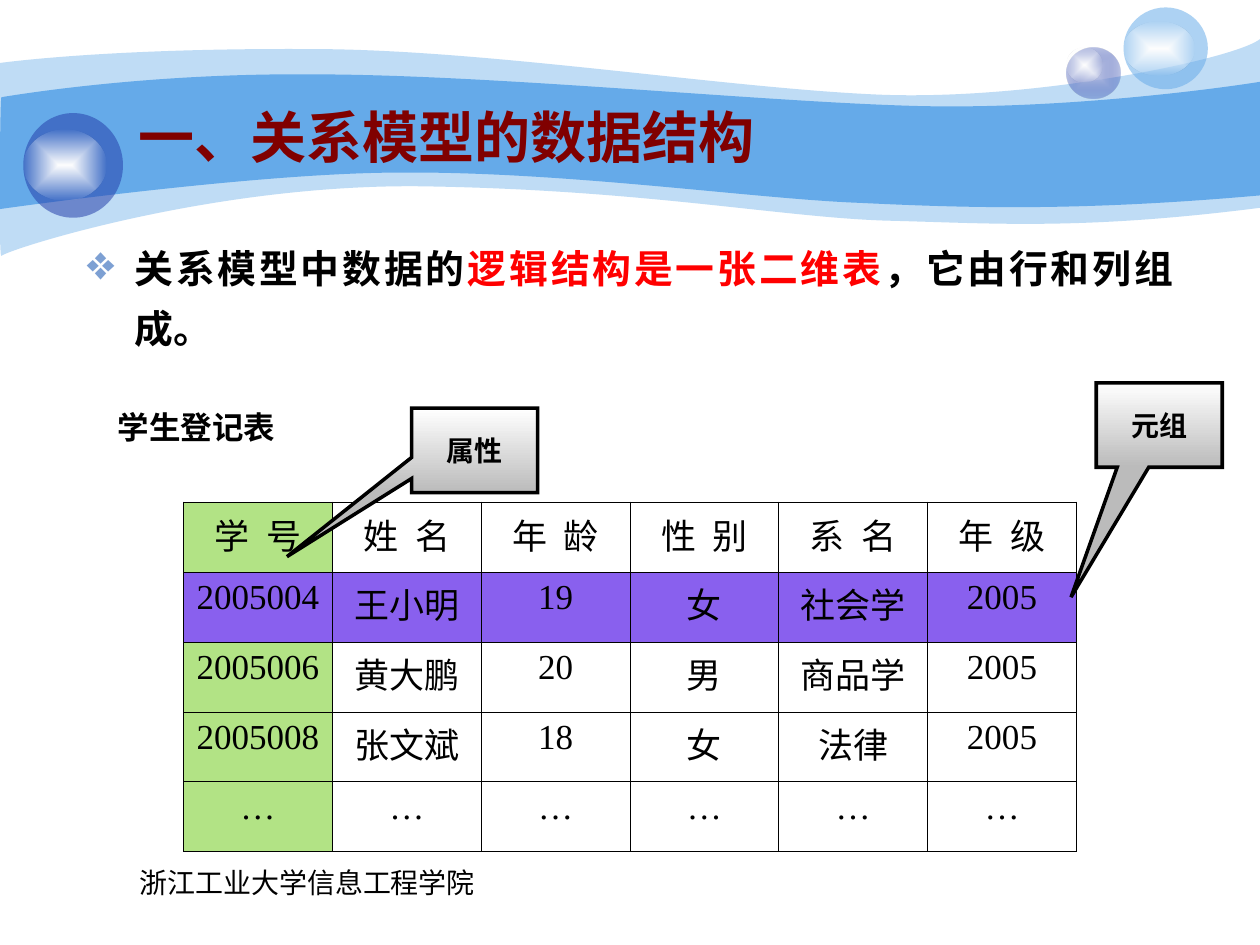
from lxml import etree
from pptx import Presentation
from pptx.dml.color import RGBColor
from pptx.enum.shapes import MSO_SHAPE
from pptx.enum.text import MSO_ANCHOR, PP_ALIGN
from pptx.oxml import parse_xml
from pptx.oxml.ns import nsdecls, qn
from pptx.util import Cm, Pt

COLORS = {
    "black": "000000", "title": "800000", "red": "FF0000", "bullet": "7DA0D3",
    "sky": "65AAE9", "navy": "233DA9", "pale": "C7CEE9", "white": "FFFFFF",
    "gray": "BBBBBB", "attribute": "B2E385", "tuple": "8960EE",
}
SERIF, SANS = "Times New Roman", "Arial"

# Each wave: a start point, then lines (2 numbers) and Bezier curves (6 numbers), in cm
OUTER_WAVE = [
    (0, 1.27), (0.61, 1.19, 2.72, 0.97, 6.27, 0.99),
    (9.8, 0.99, 14.61, 1.78, 17.75, 1.91), (20.88, 2.03, 24.89, 1.19, 25.4, 0.79),
    (25.4, 4.19), (21.79, 4.65, 19.99, 4.5, 17.91, 4.45),
    (15.8, 4.39, 13.08, 3.84, 8.71, 3.76), (4.37, 3.66, 0.1, 5.05, 0.03, 5.16),
    (-0.03, 5.28, 0, 1.91, 0, 1.27),
]
INNER_WAVE = [
    (0.03, 1.96), (0.05, 1.96, 2.79, 1.47, 6.3, 1.5),
    (9.8, 1.5, 15.11, 2.03, 18.24, 2.13), (21.36, 2.24, 24.79, 1.75, 25.4, 1.65),
    (25.4, 3.94), (21.67, 4.27, 19.43, 4.19, 17.32, 4.09),
    (15.21, 4.01, 11.35, 3.45, 8.05, 3.48), (5.16, 3.48, -0.05, 4.22, -0.03, 4.22),
    (0, 4.22, 0, 1.96, 0.03, 1.96),
]
STUDENTS = [
    ["学 号", "姓 名", "年 龄", "性 别", "系 名", "年 级"],
    ["2005004", "王小明", "19", "女", "社会学", "2005"],
    ["2005006", "黄大鹏", "20", "男", "商品学", "2005"],
    ["2005008", "张文斌", "18", "女", "法律", "2005"],
    ["…"] * 6,
]


def rgb(color):
    return RGBColor.from_string(COLORS[color])


def color_xml(color, alpha=100):
    return f'<a:srgbClr val="{COLORS[color]}"><a:alpha val="{alpha * 1000}"/></a:srgbClr>'


def solid(color, alpha=100):
    return f'<a:solidFill {nsdecls("a")}>{color_xml(color, alpha)}</a:solidFill>'


def gradient(start, end, alpha=100, from_center=True):
    if from_center:
        way = ('<a:path path="rect"><a:fillToRect l="50000" t="50000" '
               'r="50000" b="50000"/></a:path>')
    else:
        way = '<a:lin ang="5400000" scaled="1"/>'
    return (f'<a:gradFill {nsdecls("a")} rotWithShape="1"><a:gsLst>'
            f'<a:gs pos="0">{color_xml(start)}</a:gs>'
            f'<a:gs pos="100000">{color_xml(end, alpha)}</a:gs></a:gsLst>{way}</a:gradFill>')


class SlideBuilder:
    def __init__(self, s):
        self.s = s

    def style(self, sp, fill_xml):
        sp.shadow.inherit = False
        sp.line.fill.background()
        sp.fill.background()
        spPr = sp._element.spPr
        spPr.replace(spPr.find(qn("a:noFill")), parse_xml(fill_xml))

    def run(self, p, text, size, color="black", bold=False, font=SERIF, spacing=0):
        r = p.add_run()
        r.text = text
        r.font.size, r.font.bold, r.font.name = Pt(size), bold, font
        r.font.color.rgb = rgb(color)
        rPr = r._r.get_or_add_rPr()
        rPr.set("lang", "zh-CN")
        if spacing:
            rPr.set("spc", str(int(spacing * 100)))

    def wave(self, segments, fill_xml):
        corners = [(Cm(seg[-2]), Cm(seg[-1])) for seg in segments]
        builder = self.s.shapes.build_freeform(*corners[0])
        builder.add_line_segments(corners[1:], close=True)
        sp = builder.convert_to_shape()
        self.style(sp, fill_xml)
        # Bend the straight sides into Bezier curves
        sides = list(sp._element.iter(qn("a:lnTo")))
        for side, seg in zip(sides, segments[1:]):
            if len(seg) == 6:
                curve = etree.Element(qn("a:cubicBezTo"))
                for x, y in zip(seg[::2], seg[1::2]):
                    etree.SubElement(curve, qn("a:pt"), x=str(Cm(x) - sp.left),
                                     y=str(Cm(y) - sp.top))
                side.getparent().replace(side, curve)

    def bubble(self, ball, glow, fill_xml):
        grp = self.s.shapes.add_group_shape()
        for box, fill in ((ball, fill_xml), (glow, gradient("white", "white", 0))):
            self.style(grp.shapes.add_shape(MSO_SHAPE.OVAL, *map(Cm, box)), fill)

    def title(self, box, text):
        sp = self.s.shapes.title
        sp.left, sp.top, sp.width, sp.height = map(Cm, box)
        sp.element.getparent().append(sp.element)  # in front of the waves
        tf = sp.text_frame
        tf.vertical_anchor = MSO_ANCHOR.MIDDLE
        p = tf.paragraphs[0]
        p.alignment = PP_ALIGN.LEFT
        self.run(p, text, 32, "title", True, SANS)
        self.run(p, " ", 36, "title", True, SANS)

    def text(self, box, runs, size, bold=False, font=SERIF, wrap=True, align=PP_ALIGN.CENTER):
        tf = self.s.shapes.add_textbox(*map(Cm, box)).text_frame
        tf.word_wrap = wrap
        p = tf.paragraphs[0]
        p.alignment = align
        for text, color in runs:
            self.run(p, text, size, color, bold, font)
        return p

    def bullet(self, box, runs):
        p = self.text(box, runs, 22.2, True, SANS, align=PP_ALIGN.JUSTIFY)
        p.line_spacing = 1.3
        pPr = p._p.get_or_add_pPr()
        pPr.set("marL", str(Cm(0.96)))
        pPr.set("indent", str(-Cm(0.96)))
        pPr.set("hangingPunct", "0")
        bu_clr = etree.SubElement(pPr, qn("a:buClr"))
        etree.SubElement(bu_clr, qn("a:srgbClr"), val=COLORS["bullet"])
        etree.SubElement(pPr, qn("a:buSzPct"), val="125000")
        etree.SubElement(pPr, qn("a:buChar"), char="❖")

    def callout(self, x, y, text, tip):
        sp = self.s.shapes.add_shape(MSO_SHAPE.RECTANGULAR_CALLOUT,
                                     Cm(x), Cm(y), Cm(2.54), Cm(1.7))
        self.style(sp, gradient("white", "gray", from_center=False))
        sp.adjustments[0], sp.adjustments[1] = tip
        sp.line.color.rgb, sp.line.width = rgb("black"), Pt(2)
        etree.SubElement(sp._element.spPr.find(qn("a:ln")), qn("a:miter"), lim="800000")
        tf = sp.text_frame
        tf.vertical_anchor = MSO_ANCHOR.MIDDLE
        p = tf.paragraphs[0]
        p.alignment = PP_ALIGN.CENTER
        self.run(p, text, 16, bold=True)

    def table(self, x, y, col_width, row_height, rows):
        n_rows, n_cols = len(rows), len(rows[0])
        table = self.s.shapes.add_table(n_rows, n_cols, Cm(x), Cm(y), Cm(col_width * n_cols),
                                        Cm(row_height * n_rows)).table
        table.first_row = table.horz_banding = False
        for i, row in enumerate(rows):
            for j, text in enumerate(row):
                cell = table.cell(i, j)
                tcPr = cell._tc.get_or_add_tcPr()
                for side in ("lnL", "lnR", "lnT", "lnB"):
                    ln = etree.SubElement(tcPr, qn(f"a:{side}"), w=str(Pt(0.45)))
                    ln.append(parse_xml(solid("black")))
                if i == 1 or j == 0:
                    cell.fill.solid()
                    cell.fill.fore_color.rgb = rgb("tuple" if i == 1 else "attribute")
                else:
                    cell.fill.background()
                p = cell.text_frame.paragraphs[0]
                p.alignment = PP_ALIGN.CENTER
                self.run(p, text, 20, spacing=2.5 if i == 0 else 0)


def main():
    prs = Presentation()
    prs.slide_width, prs.slide_height = Cm(25.4), Cm(19.05)
    b = SlideBuilder(prs.slides.add_slide(prs.slide_layouts[5]))

    # Waves and bubbles behind the title
    b.wave(OUTER_WAVE, solid("sky", 41))
    b.wave(INNER_WAVE, solid("sky"))
    b.bubble((21.51, 0.97, 1.07, 1.02), (21.51, 0.97, 0.71, 0.69), gradient("pale", "navy", 31))
    b.bubble((22.65, 0.15, 1.7, 1.65), (22.65, 0.43, 1.42, 1.09), solid("sky", 53))
    b.bubble((0.47, 2.28, 2.01, 2.11), (0.47, 2.62, 1.68, 1.42), solid("navy", 53))

    # Footer, title and body text
    b.text((1.3, 17.32, 9.8, 1.32), [("浙江工业大学信息工程学院", "black")], 16)
    b.title((2.54, 1.9, 20.52, 1.57), "一、关系模型的数据结构")
    b.bullet((1.5, 4.52, 22.4, 2.8), [("关系模型中数据的", "black"),
                                      ("逻辑结构是一张二维表", "red"),
                                      ("，它由行和列组成。", "black")])

    # Student table with its caption and callouts
    b.table(3.7, 10.12, 3, 1.41, STUDENTS)
    b.text((1.17, 8.1, 5.59, 1.02), [("学生登记表", "black")], 18, bold=True, wrap=False)
    b.callout(8.3, 8.23, "属性", (-1.49, 1.26))
    b.callout(22.1, 7.72, "元组", (-0.7, 2.04))

    prs.save("out.pptx")


if __name__ == "__main__":
    main()
